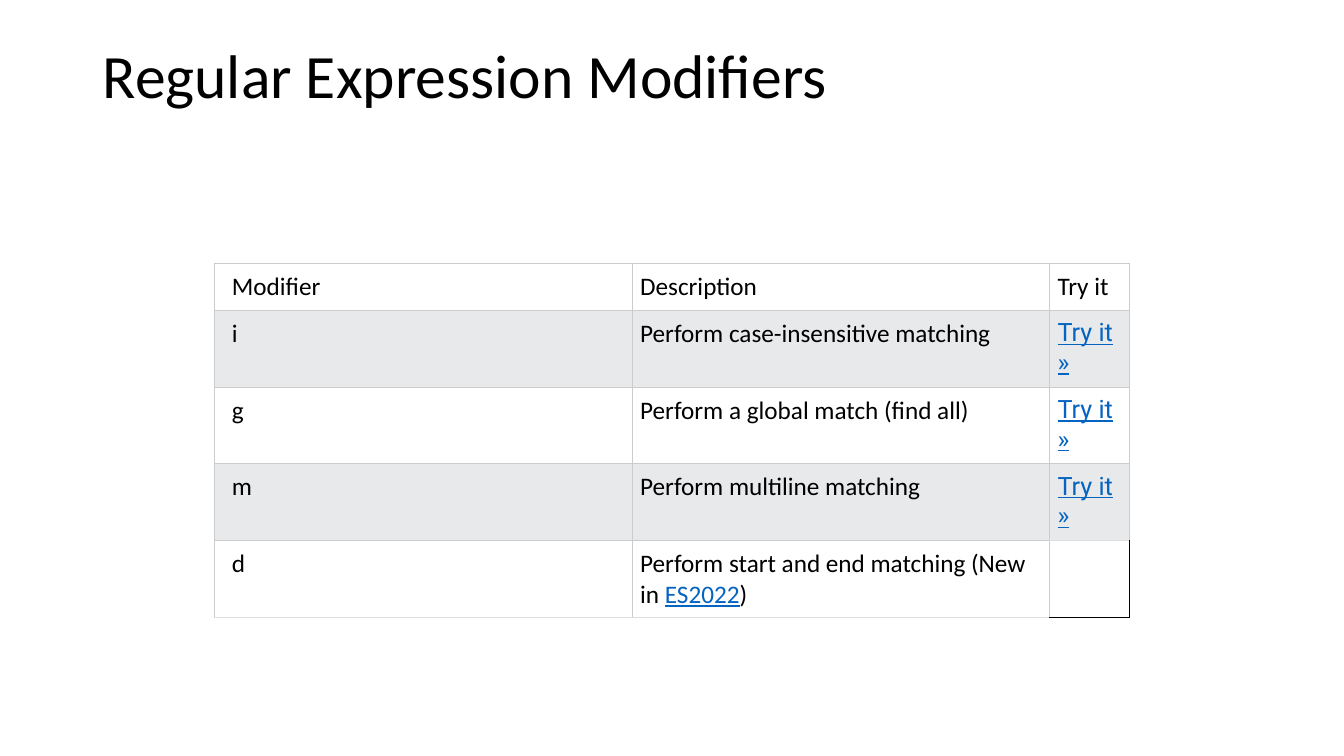
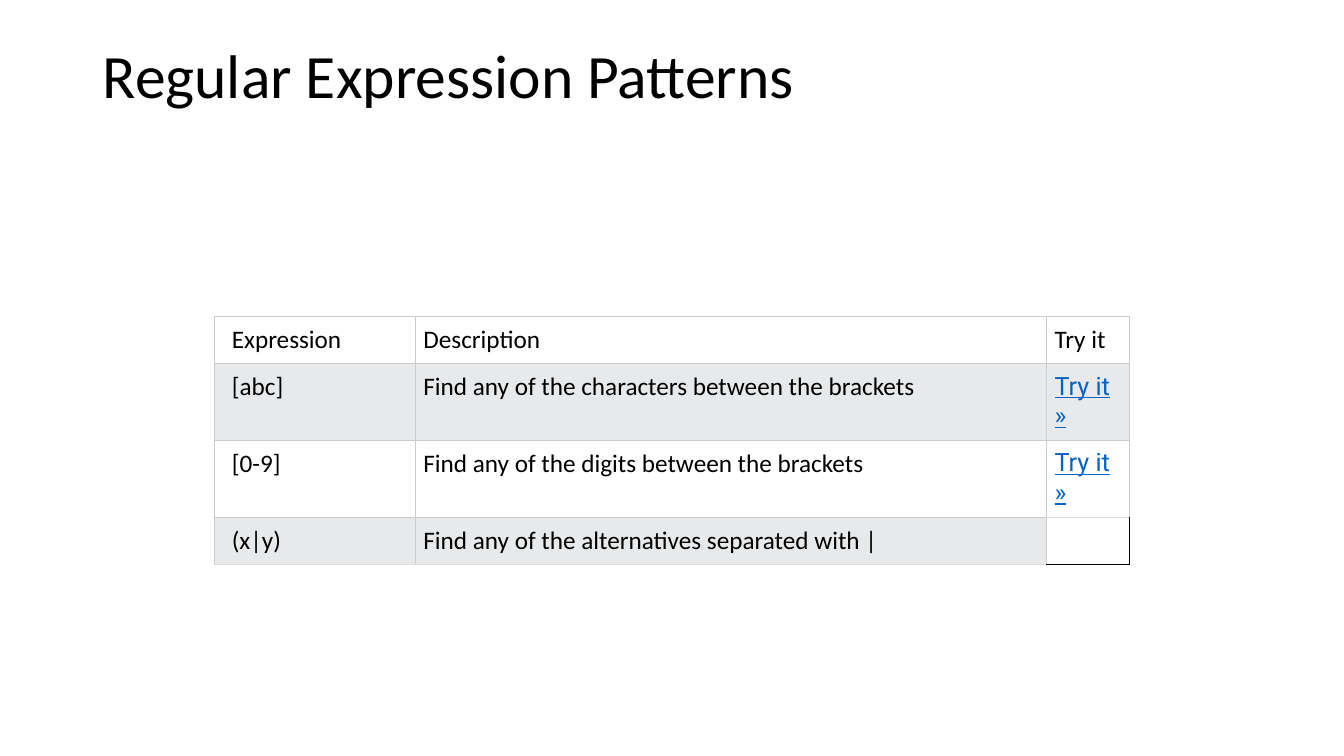
from lxml import etree
from pptx import Presentation
from pptx.dml.color import RGBColor
from pptx.enum.text import MSO_ANCHOR
from pptx.oxml.ns import qn
from pptx.util import Inches, Pt

TOP = MSO_ANCHOR.TOP
BLACK, WHITE, BAND = "000000", "FFFFFF", "E7E9EB"
LINK, GRID, PALE = "0563C1", "CCCCCC", "DDDDDD"
FONT = "Calibri"
LEFT, PAD, INDENT = 2.13, 0.08, 0.17
ONE, TWO, TALL = 0.47, 0.75, 0.77

TRY = [("Try it »", {"font": "Roboto", "color": LINK, "under": True})]
SPEC = [
    ("Perform start and end matching (New in ", {}),
    ("ES2022", {"color": LINK, "under": True}),
    (")", {}),
]

PAGES = [
    {
        "title": "Regular Expression Modifiers",
        "top": 2.61,
        "cols": [4.14, 4.14, 0.79],
        "rows": [
            (ONE, "Modifier", "Description", "Try it"),
            (TWO, "i", "Perform case-insensitive matching", TRY),
            (TWO, "g", "Perform a global match (find all)", TRY),
            (TWO, "m", "Perform multiline matching", TRY),
            (TALL, "d", SPEC, None),
        ],
    },
    {
        "title": "Regular Expression Patterns",
        "top": 3.14,
        "cols": [1.99, 6.26, 0.82],
        "rows": [
            (ONE, "Expression", "Description", "Try it"),
            (TWO, "[abc]", "Find any of the characters between the brackets", TRY),
            (TWO, "[0-9]", "Find any of the digits between the brackets", TRY),
            (ONE, "(x|y)", "Find any of the alternatives separated with |", None),
        ],
    },
]


def rgb(code):
    return RGBColor.from_string(code)


def write(para, text, size=18, font=FONT, color=BLACK, under=False):
    run = para.add_run()
    run.text = text
    run.font.size = Pt(size)
    run.font.name = font
    run.font.color.rgb = rgb(color)
    run.font.underline = under


def edge(cell, side, color):
    props = cell._tc.get_or_add_tcPr()
    line = etree.SubElement(props, qn("a:ln" + side), w=str(Pt(0.75)))
    fill = etree.SubElement(line, qn("a:solidFill"))
    etree.SubElement(fill, qn("a:srgbClr"), val=color)


def add_title(slide, text):
    box = slide.shapes.add_textbox(Inches(0.92), Inches(0.4), Inches(11.5), Inches(1.45))
    frame = box.text_frame
    frame.word_wrap = True
    frame.vertical_anchor = TOP
    para = frame.paragraphs[0]
    para.line_spacing = 0.9
    write(para, text, size=44)


def fill_cell(cell, text, row, col, last):
    cell.margin_left = Inches(PAD if col else INDENT)
    cell.margin_right = cell.margin_top = cell.margin_bottom = Inches(PAD)
    if text is None:
        sides = {"L": GRID, "R": BLACK, "T": PALE, "B": BLACK}
    else:
        sides = dict.fromkeys("LRTB", GRID)
        if last:
            sides["B"] = PALE
    for side, color in sides.items():
        edge(cell, side, color)
    if text is None:
        cell.fill.background()
        return
    cell.fill.solid()
    cell.fill.fore_color.rgb = rgb(BAND if row % 2 else WHITE)
    runs = [(text, {})] if isinstance(text, str) else text
    for part, style in runs:
        write(cell.text_frame.paragraphs[0], part, **style)


def add_grid(slide, top, cols, rows):
    high = sum(row[0] for row in rows)
    frame = slide.shapes.add_table(
        len(rows), len(cols), Inches(LEFT), Inches(top), Inches(sum(cols)), Inches(high)
    )
    table = frame.table
    table.first_row = table.horz_banding = False
    for col, width in enumerate(cols):
        table.columns[col].width = Inches(width)
    for r, (height, *texts) in enumerate(rows):
        table.rows[r].height = Inches(height)
        for c, text in enumerate(texts):
            below = rows[r + 1][c + 1] if r + 1 < len(rows) else None
            fill_cell(table.cell(r, c), text, r, c, below is None)


def main():
    deck = Presentation()
    deck.slide_width, deck.slide_height = Inches(13.33), Inches(7.5)
    for page in PAGES:
        slide = deck.slides.add_slide(deck.slide_layouts[6])
        add_title(slide, page["title"])
        add_grid(slide, page["top"], page["cols"], page["rows"])
    deck.save("out.pptx")


if __name__ == "__main__":
    main()
